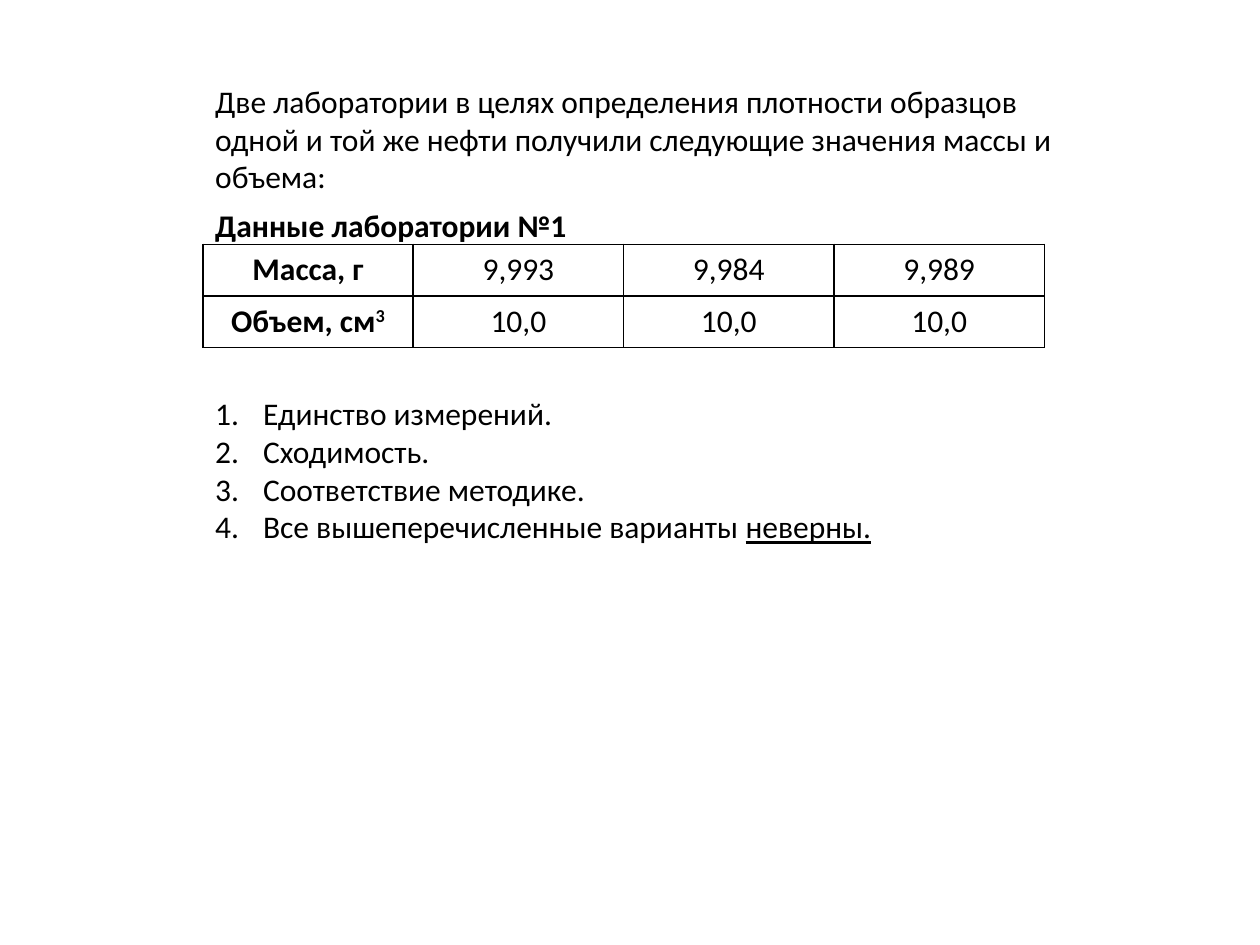
from dataclasses import dataclass

import lxml.etree
import pptx
import pptx.dml.color
import pptx.enum.text
import pptx.oxml.ns
import pptx.util


@dataclass(frozen=True)
class Theme:
    font: str = "Calibri"
    size: float = 18
    ink: str = "000000"
    border_width: float = 1


@dataclass(frozen=True)
class Measurement:
    label: str
    exponent: str
    values: tuple[str, ...]


THEME = Theme()
INTRODUCTION = (
    "Две лаборатории в целях определения плотности образцов одной и той же "
    "нефти получили следующие значения массы и объема:"
)
TABLE_HEADING = "Данные лаборатории №1"
MEASUREMENTS = (
    Measurement("Масса, г", "", ("9,993", "9,984", "9,989")),
    Measurement("Объем, см", "3", ("10,0", "10,0", "10,0")),
)
# Each answer is plain text followed by its underlined ending
ANSWERS = (
    ("Единство измерений.", ""),
    ("Сходимость.", ""),
    ("Соответствие методике.", ""),
    ("Все вышеперечисленные варианты ", "неверны."),
)
LEFT = 1.61
COLUMN_WIDTH = 1.67
ROW_HEIGHT = 0.41
ANSWER_INDENT = 0.38
TABLE_GAP = 86  # points between the heading and the answers, where the table sits


def add_text(paragraph, text: str, *, bold: bool = False,
             underline: bool = False, superscript: bool = False) -> None:
    """Append one formatted run to a paragraph."""
    run = paragraph.add_run()
    run.text = text
    run.font.name = THEME.font
    run.font.size = pptx.util.Pt(THEME.size)
    run.font.color.rgb = pptx.dml.color.RGBColor.from_string(THEME.ink)
    run.font.bold = bold
    run.font.underline = underline
    if superscript:
        run.font._element.set("baseline", "30000")


def number_paragraph(paragraph) -> None:
    """Give a paragraph automatic numbering with a hanging indent."""
    properties = paragraph._p.get_or_add_pPr()
    indent = pptx.util.Inches(ANSWER_INDENT)
    properties.set("marL", str(indent))
    properties.set("indent", str(-indent))
    lxml.etree.SubElement(
        properties, pptx.oxml.ns.qn("a:buAutoNum"), type="arabicPeriod")


def add_borders(cell) -> None:
    """Draw a solid line on all four sides of a cell."""
    qualified = pptx.oxml.ns.qn
    properties = cell._tc.get_or_add_tcPr()
    for position, side in enumerate(("a:lnL", "a:lnR", "a:lnT", "a:lnB")):
        line = lxml.etree.Element(
            qualified(side), w=str(pptx.util.Pt(THEME.border_width)))
        fill = lxml.etree.SubElement(line, qualified("a:solidFill"))
        lxml.etree.SubElement(fill, qualified("a:srgbClr"), val=THEME.ink)
        properties.insert(position, line)


def add_question(slide) -> None:
    """Place the introduction, the table heading and the numbered answers."""
    shape = slide.shapes.add_textbox(
        pptx.util.Inches(LEFT), pptx.util.Inches(0.6),
        pptx.util.Inches(7.17), pptx.util.Inches(3.82))
    frame = shape.text_frame
    frame.word_wrap = True
    add_text(frame.paragraphs[0], INTRODUCTION)

    heading = frame.add_paragraph()
    heading.space_before = pptx.util.Pt(6)
    add_text(heading, TABLE_HEADING, bold=True)

    for index, (plain, underlined) in enumerate(ANSWERS):
        paragraph = frame.add_paragraph()
        if index == 0:
            paragraph.space_before = pptx.util.Pt(TABLE_GAP)
        number_paragraph(paragraph)
        add_text(paragraph, plain)
        if underlined:
            add_text(paragraph, underlined, underline=True)


def add_measurements(slide) -> None:
    """Place the table of masses and volumes."""
    row_count = len(MEASUREMENTS)
    column_count = 1 + len(MEASUREMENTS[0].values)
    table = slide.shapes.add_table(
        row_count, column_count,
        pptx.util.Inches(LEFT), pptx.util.Inches(1.94),
        pptx.util.Inches(COLUMN_WIDTH * column_count),
        pptx.util.Inches(ROW_HEIGHT * row_count)).table
    table.first_row = False
    table.horz_banding = False

    for row, measurement in enumerate(MEASUREMENTS):
        for column, text in enumerate((measurement.label, *measurement.values)):
            is_label = column == 0
            cell = table.cell(row, column)
            cell.fill.background()
            add_borders(cell)
            paragraph = cell.text_frame.paragraphs[0]
            paragraph.alignment = pptx.enum.text.PP_ALIGN.CENTER
            add_text(paragraph, text, bold=is_label)
            if is_label and measurement.exponent:
                add_text(paragraph, measurement.exponent,
                         bold=True, superscript=True)


def main() -> None:
    presentation = pptx.Presentation()
    presentation.slide_width = pptx.util.Inches(10)
    presentation.slide_height = pptx.util.Inches(7.5)
    # Blank layout: the slide has no title
    slide = presentation.slides.add_slide(presentation.slide_layouts[6])
    add_question(slide)
    add_measurements(slide)
    presentation.save("out.pptx")


if __name__ == "__main__":
    main()
